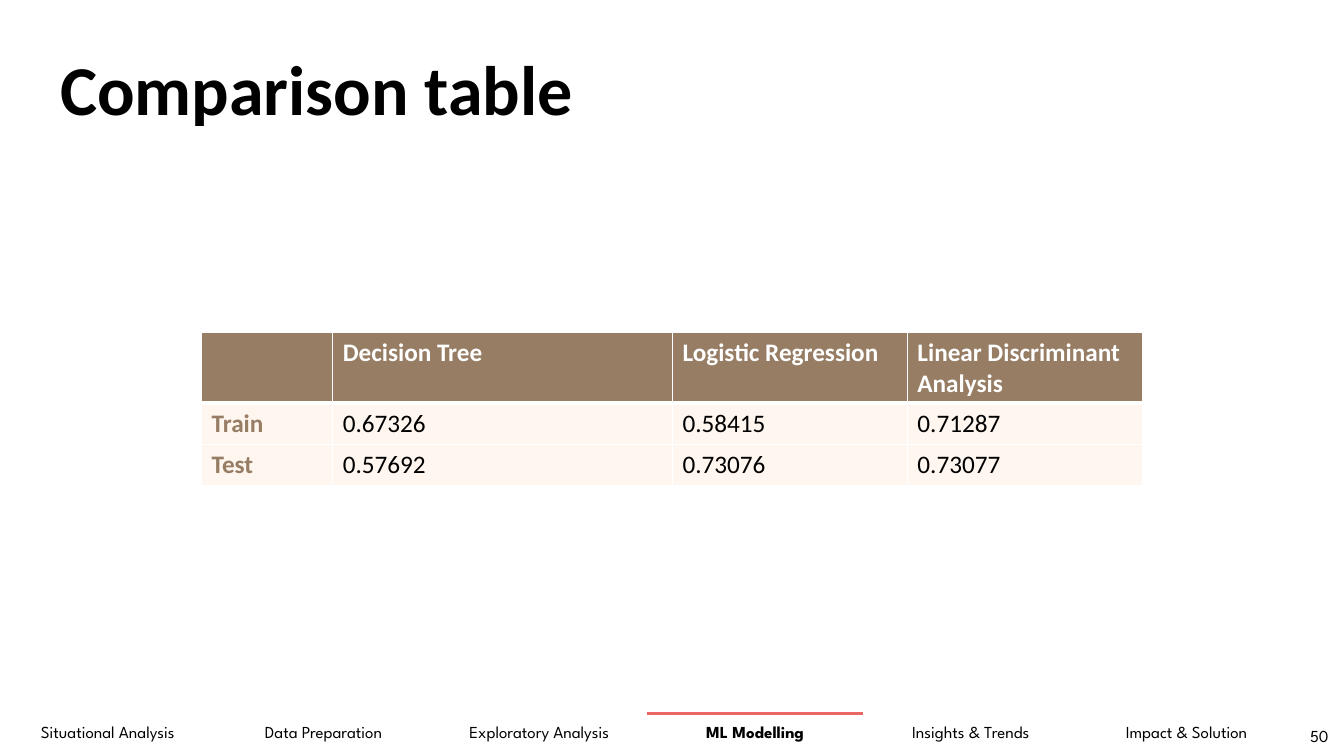
from lxml import etree
from pptx import Presentation
from pptx import util as u
from pptx.dml import color
from pptx.enum import text
from pptx.oxml import ns

COLORS = {"white": "FFFFFF", "black": "000000", "brown": "967D64",
          "cream": "FFF6EF", "coral": "EB6761"}
BODY, NAV = "Calibri", "League Spartan"
LEFT, CENTER = text.PP_ALIGN.LEFT, text.PP_ALIGN.CENTER
TOP, MIDDLE = text.MSO_ANCHOR.TOP, text.MSO_ANCHOR.MIDDLE


class SlideBuilder:
    """Draws styled elements on the current slide."""

    def __init__(self, slide):
        self.slide = slide

    def add_words(self, paragraph, words, font, size, ink="black", bold=False, align=LEFT):
        paragraph.alignment = align
        run = paragraph.add_run()
        run.text = words
        run.font.name = font
        run.font.size = u.Pt(size)
        run.font.bold = bold
        run.font.color.rgb = color.RGBColor.from_string(COLORS[ink])

    def label(self, place, words, font, size, bold=False, align=LEFT, spacing=1.0):
        frame = self.slide.shapes.add_textbox(*map(u.Inches, place)).text_frame
        frame.word_wrap = True
        frame.vertical_anchor = MIDDLE
        paragraph = frame.paragraphs[0]
        paragraph.line_spacing = spacing
        self.add_words(paragraph, words, font, size, bold=bold, align=align)

    def table(self, left, top, widths, heights):
        grid = self.slide.shapes.add_table(
            len(heights), len(widths), u.Inches(left), u.Inches(top),
            u.Inches(sum(widths)), u.Inches(sum(heights))).table
        grid.first_row = grid.horz_banding = False
        for column, width in zip(grid.columns, widths):
            column.width = u.Inches(width)
        for row, height in zip(grid.rows, heights):
            row.height = u.Inches(height)
        return grid

    def cell(self, cell, words, font, size, ink="black", bold=False, align=LEFT,
             anchor=TOP, fill=None, borders=None):
        cell.vertical_anchor = anchor
        for side, (shade, points) in (borders or {}).items():
            self.border(cell, side, shade, points)
        if fill:
            cell.fill.solid()
            cell.fill.fore_color.rgb = color.RGBColor.from_string(COLORS[fill])
        else:
            cell.fill.background()
        if words:
            self.add_words(cell.text_frame.paragraphs[0], words, font, size, ink, bold, align)

    def border(self, cell, side, shade, points):
        line = etree.SubElement(cell._tc.get_or_add_tcPr(), ns.qn(f"a:ln{side}"),
                                w=str(u.Pt(points)))
        if shade:
            solid = etree.SubElement(line, ns.qn("a:solidFill"))
            etree.SubElement(solid, ns.qn("a:srgbClr"), val=COLORS[shade])
        else:
            etree.SubElement(line, ns.qn("a:noFill"))


def main():
    deck = Presentation()
    deck.slide_width, deck.slide_height = u.Inches(13.33), u.Inches(7.5)
    builder = SlideBuilder(deck.slides.add_slide(deck.slide_layouts[6]))

    sections = ["Situational Analysis", "Data Preparation", "Exploratory Analysis",
                "ML Modelling", "Insights & Trends", "Impact & Solution"]
    current = "ML Modelling"
    navigation = builder.table(0, 7.08, [2.14] * len(sections), [0.42])
    for index, section in enumerate(sections):
        active = section == current
        borders = {side: (None, 1) for side in "LRTB"}
        if active:
            borders["T"] = ("coral", 2.25)
        builder.cell(navigation.cell(0, index), section, NAV, 12, bold=active,
                     align=CENTER, anchor=MIDDLE, borders=borders)

    builder.label((0.5, 0.26, 10.59, 1.33), "Comparison table", BODY, 50,
                  bold=True, spacing=0.9)
    builder.label((12.83, 7.09, 0.51, 0.42), "50", NAV, 12, align=CENTER)

    scores = [
        ["", "Decision Tree", "Logistic Regression", "Linear Discriminant Analysis"],
        ["Train", "0.67326", "0.58415", "0.71287"],
        ["Test", "0.57692", "0.73076", "0.73077"],
    ]
    comparison = builder.table(2, 3.3, [1.3, 3.37, 2.33, 2.33], [0.7, 0.41, 0.41])
    for row, values in enumerate(scores):
        header = row == 0
        borders = {side: ("white", 1) for side in "LRTB"}
        if header:
            borders["B"] = ("white", 3)
        elif row == 1:
            borders["T"] = ("white", 3)
        for column, value in enumerate(values):
            row_name = column == 0
            ink = "white" if header else "brown" if row_name else "black"
            builder.cell(comparison.cell(row, column), value, BODY, 18, ink,
                         bold=header or row_name,
                         fill="brown" if header else "cream", borders=borders)

    deck.save("out.pptx")


if __name__ == "__main__":
    main()
